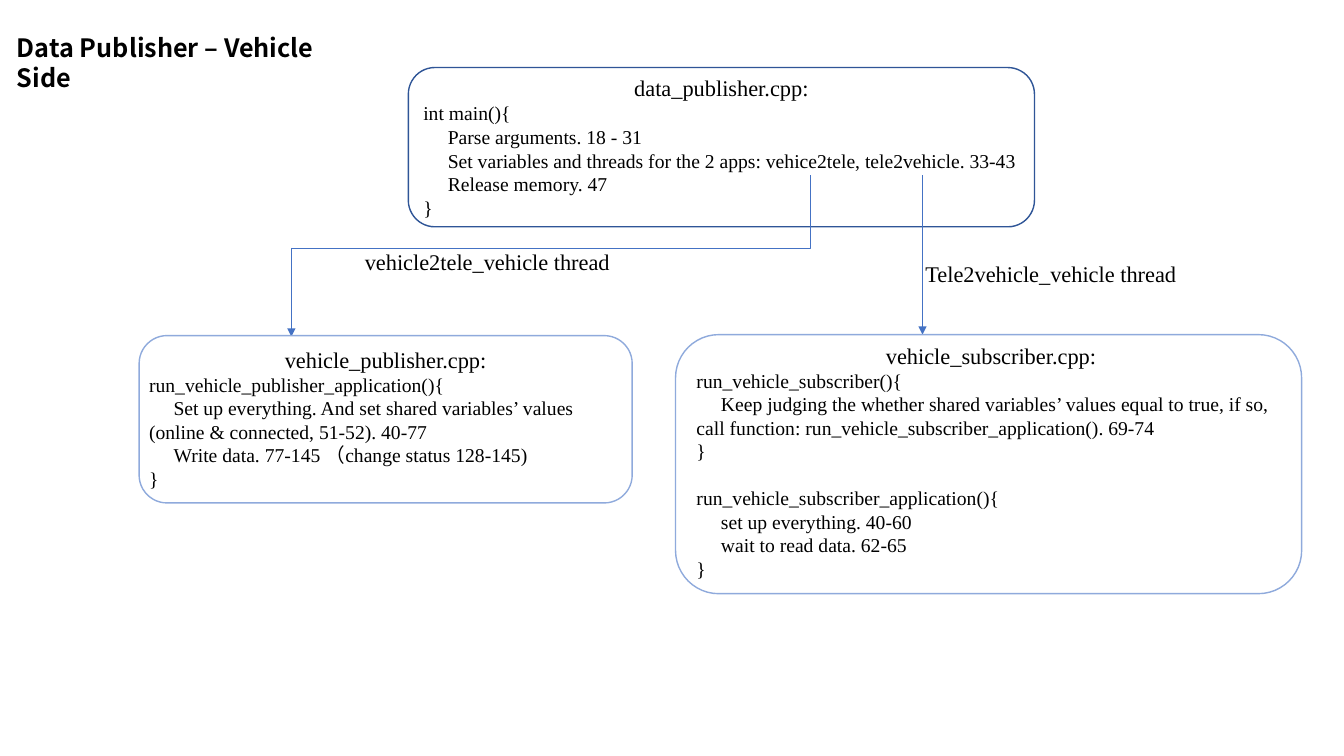
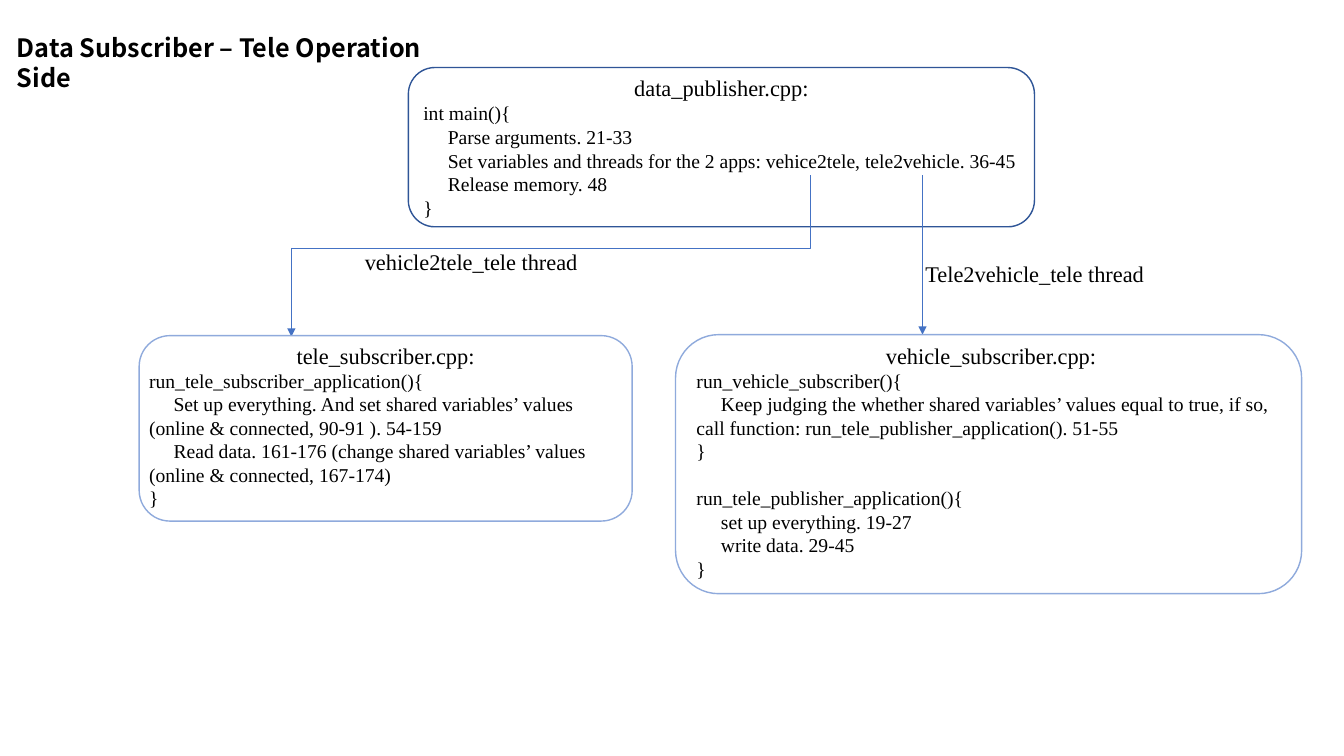
from dataclasses import dataclass

from lxml.etree import SubElement
from pptx import Presentation
from pptx.dml.color import RGBColor
from pptx.enum.shapes import MSO_CONNECTOR, MSO_SHAPE
from pptx.enum.text import MSO_AUTO_SIZE, PP_ALIGN
from pptx.oxml.ns import qn
from pptx.util import Emu, Pt

PX = 9144


@dataclass(frozen=True)
class Theme:
    ink: RGBColor = RGBColor.from_string("000000")
    paper: RGBColor = RGBColor.from_string("FFFFFF")
    main_line: RGBColor = RGBColor.from_string("2F5597")
    child_line: RGBColor = RGBColor.from_string("8FAADC")
    arrow: RGBColor = RGBColor.from_string("4472C4")
    title_font: str = "Noto Sans CJK SC"
    code_font: str = "Times New Roman"
    title: int = 18
    heading: int = 16
    code: int = 14
    leading: float = 1.2
    indent: float = 17.5
    box_line: float = 1
    arrow_line: float = 0.5


T = Theme()

SLIDES = [
    {
        "title": ("Data Publisher – Vehicle Side", 353),
        "main": ("data_publisher.cpp:", [
            ("int main(){", [
                "Parse arguments. 18 - 31",
                "Set variables and threads for the 2 apps: vehice2tele, tele2vehicle. 33-43",
                "Release memory. 47",
            ]),
        ]),
        "left": ("vehicle_publisher.cpp:", [
            ("run_vehicle_publisher_application(){", [
                "Set up everything. And set shared variables’ values (online & connected, 51-52). 40-77",
                "Write data. 77-145 （change status 128-145)",
            ]),
        ]),
        "left_box": (166, 338, 155),
        "right": ("vehicle_subscriber.cpp:", [
            ("run_vehicle_subscriber(){", [
                "Keep judging the whether shared variables’ values equal to true, if so, "
                "call function: run_vehicle_subscriber_application(). 69-74",
            ]),
            ("run_vehicle_subscriber_application(){", [
                "set up everything. 40-60",
                "wait to read data. 62-65",
            ]),
        ]),
        "threads": [("vehicle2tele_vehicle thread", 267), ("Tele2vehicle_vehicle thread", 273)],
    },
    {
        "title": ("Data Subscriber – Tele Operation Side", 454),
        "main": ("data_publisher.cpp:", [
            ("int main(){", [
                "Parse arguments. 21-33",
                "Set variables and threads for the 2 apps: vehice2tele, tele2vehicle. 36-45",
                "Release memory. 48",
            ]),
        ]),
        "left": ("tele_subscriber.cpp:", [
            ("run_tele_subscriber_application(){", [
                "Set up everything. And set shared variables’ values (online & connected, 90-91 ). 54-159",
                "Read data. 161-176 (change shared variables’ values (online & connected, 167-174)",
            ]),
        ]),
        "left_box": (184, 334, 178),
        "right": ("vehicle_subscriber.cpp:", [
            ("run_vehicle_subscriber(){", [
                "Keep judging the whether shared variables’ values equal to true, if so, "
                "call function: run_tele_publisher_application(). 51-55",
            ]),
            ("run_tele_publisher_application(){", [
                "set up everything. 19-27",
                "write data. 29-45",
            ]),
        ]),
        "threads": [("vehicle2tele_tele thread", 235), ("Tele2vehicle_tele thread", 241)],
    },
]


def add_text(s, at, lines, font=T.code_font, bold=False, wrap=True):
    sp = s.shapes.add_textbox(*(Emu(v * PX) for v in at))
    tf = sp.text_frame
    tf.word_wrap = wrap
    tf.auto_size = MSO_AUTO_SIZE.SHAPE_TO_FIT_TEXT
    for i, (text, size, align, indent, gap) in enumerate(lines):
        p = tf.add_paragraph() if i else tf.paragraphs[0]
        p.alignment = align
        p.line_spacing = Pt(size * T.leading)
        if gap:
            p.space_before = Pt(size * T.leading)
        if indent:
            pPr = p._p.get_or_add_pPr()
            pPr.set("marL", "0")
            pPr.set("indent", str(Pt(T.indent)))
        r = p.add_run()
        r.text = text
        r.font.name = font
        r.font.size = Pt(size)
        r.font.bold = bold
        r.font.color.rgb = T.ink


def add_line(s, kind, ends, head):
    c = s.shapes.add_connector(kind, *(Emu(v * PX) for v in ends))
    c.line.color.rgb = T.arrow
    c.line.width = Pt(T.arrow_line)
    spPr = c._element.spPr
    if head:
        SubElement(spPr.find(qn("a:ln")), qn("a:tailEnd"), type="triangle")
    if kind == MSO_CONNECTOR.ELBOW:
        geom = spPr.find(qn("a:prstGeom"))
        SubElement(geom.find(qn("a:avLst")), qn("a:gd"), name="adj1", fmla="val 0")
    SubElement(spPr, qn("a:effectLst"))


prs = Presentation()
prs.slide_width, prs.slide_height = Emu(1333 * PX), Emu(750 * PX)

for page in SLIDES:
    s = prs.slides.add_slide(prs.slide_layouts[6])

    title, width = page["title"]
    add_text(s, (7, 27, width, 40), [(title, T.title, PP_ALIGN.LEFT, False, False)],
             T.title_font, bold=True)

    box_h, text_y, text_h = page["left_box"]
    blocks = [
        ("main", (405, 67, 621, 158), (410, 69, 611, 155), T.main_line, False,
         [(MSO_CONNECTOR.ELBOW, (804, 174, 289, 246), False),
          (MSO_CONNECTOR.STRAIGHT, (289, 246, 289, 334), True)]),
        ("left", (138, 333, 489, box_h), (138, text_y, 489, text_h), T.child_line, True,
         [(MSO_CONNECTOR.STRAIGHT, (915, 174, 915, 332), True)]),
        ("right", (670, 332, 621, 257), (681, 334, 604, 249), T.child_line, True, []),
    ]
    for name, box, text_at, color, filled, connectors in blocks:
        sp = s.shapes.add_shape(MSO_SHAPE.ROUNDED_RECTANGLE, *(Emu(v * PX) for v in box))
        sp.shadow.inherit = False
        sp.line.color.rgb = color
        sp.line.width = Pt(T.box_line)
        if filled:
            sp.fill.solid()
            sp.fill.fore_color.rgb = T.paper
        else:
            sp.fill.background()

        heading, functions = page[name]
        lines = [(heading, T.heading, PP_ALIGN.CENTER, False, False)]
        for i, (signature, body) in enumerate(functions):
            lines.append((signature, T.code, PP_ALIGN.LEFT, False, i > 0))
            lines += [(step, T.code, PP_ALIGN.LEFT, True, False) for step in body]
            lines.append(("}", T.code, PP_ALIGN.LEFT, False, False))
        add_text(s, text_at, lines)

        for kind, ends, head in connectors:
            add_line(s, kind, ends, head)

    for (x, y), (label, width) in zip([(352, 241), (908, 253)], page["threads"]):
        add_text(s, (x, y, width, 37), [(label, T.heading, PP_ALIGN.LEFT, False, False)],
                 wrap=False)

prs.save("out.pptx")
